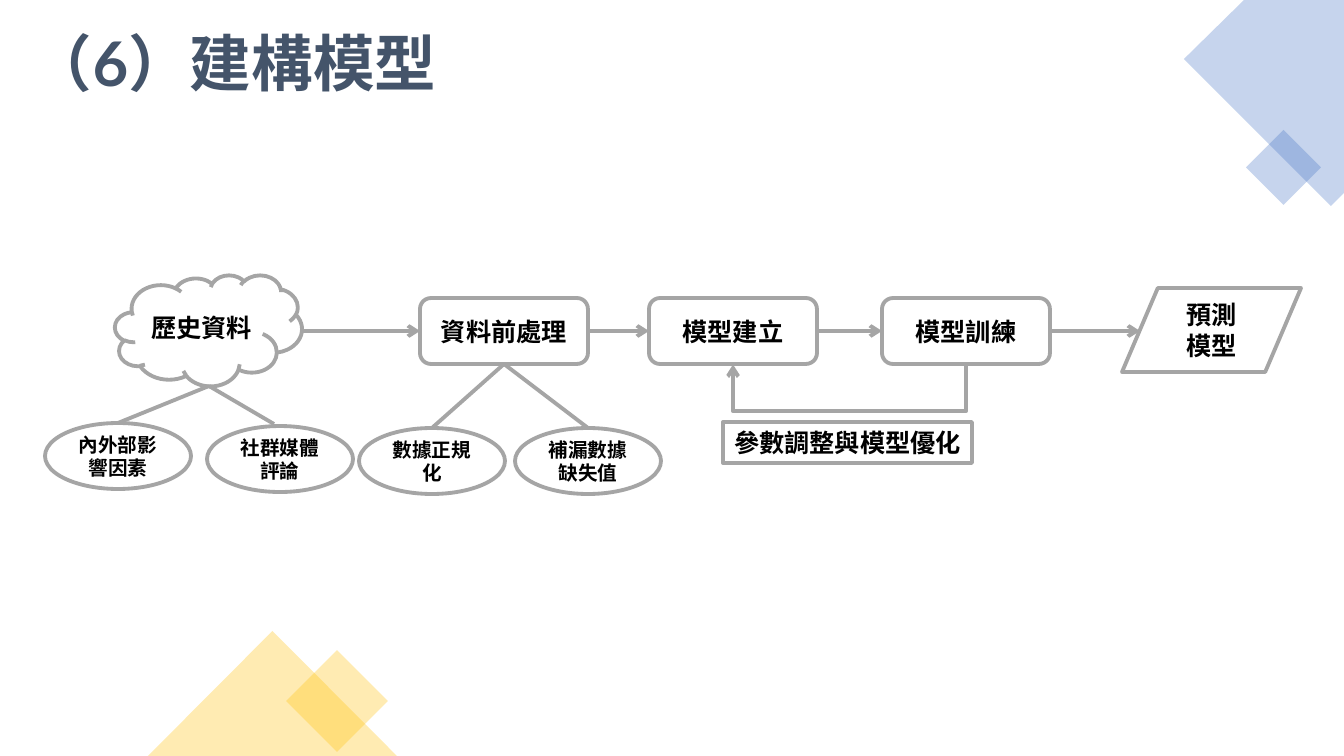
from pptx import Presentation
from pptx.dml.color import RGBColor
from pptx.enum.shapes import MSO_CONNECTOR, MSO_SHAPE
from pptx.enum.text import MSO_ANCHOR, PP_ALIGN
from pptx.oxml.ns import qn
from pptx.util import Emu, Pt
from lxml.etree import SubElement

# Content: all lengths in px
TITLE = "（6）建構模型"
GRAY, WHITE, BLACK, BLUE, YELLOW, NAVY = (
    "A5A5A5", "FFFFFF", "000000", "4472C4", "FFC000", "44546A")
CORNER = [(1344, 0), (1244, 0), (1184, 59), (1331, 206), (1344, 193)]
DECORATIONS = [  # kind, box, rotation, colour
    (MSO_SHAPE.RECTANGLE, (1257, 141, 53, 53), 45, BLUE),
    (MSO_SHAPE.RECTANGLE, (301, 665, 72, 72), 45, YELLOW),
    (MSO_SHAPE.ISOSCELES_TRIANGLE, (148, 631, 249, 125), 0, YELLOW),
]
STEP_TOP, STEP_WIDTH, STEP_HEIGHT = 298, 168, 66
STEPS = [("資料前處理", 420), ("模型建立", 649), ("模型訓練", 882)]
CLOUD = ("歷史資料", (115, 275, 187, 111))
RESULT = ("預測\n模型", (1122, 288, 179, 84))
FEEDBACK = ("參數調整與模型優化", (723, 422, 249, 41))
FACTOR_WIDTH, FACTOR_HEIGHT = 146, 66
FACTORS = [  # text, left, top, where its branch starts and ends
    ("內外部影響因素", 45, 423, (209, 386), (118, 423)),
    ("社群媒體評論", 207, 426, (209, 386), (274, 424)),
    ("數據正規化", 359, 428, (504, 364), (432, 428)),
    ("補漏數據缺失值", 515, 428, (504, 364), (588, 428)),
]
LOOP_DROP = 48


def px(length):
    return Emu(round(length * 914400 / 100.8))


def color(value):
    return RGBColor.from_string(value)


presentation = Presentation()
presentation.slide_width, presentation.slide_height = px(1344), px(756)
slide = presentation.slides.add_slide(presentation.slide_layouts[6])
shapes = slide.shapes


def tint(shape, value):
    """Fill with a 30 % opaque colour and no outline."""
    shape.shadow.inherit = False
    shape.fill.solid()
    shape.fill.fore_color.rgb = color(value)
    shape.line.fill.background()
    fill = shape.fill._xPr.find(qn("a:solidFill"))
    SubElement(fill[0], qn("a:alpha"), val="30000")


def write(frame, text, size, font_name, value, align):
    frame.text = text
    for paragraph in frame.paragraphs:
        paragraph.alignment = align
        paragraph.font.size = Pt(size)
        paragraph.font.name = font_name
        paragraph.font.bold = True
        paragraph.font.color.rgb = color(value)


def add_node(kind, text, box, size=18):
    shape = shapes.add_shape(kind, *map(px, box))
    shape.shadow.inherit = False
    shape.fill.solid()
    shape.fill.fore_color.rgb = color(WHITE)
    shape.line.color.rgb = color(GRAY)
    shape.line.width = Pt(2.75)
    write(shape.text_frame, text, size, "Calibri", BLACK, PP_ALIGN.CENTER)
    return shape


def add_link(start, end, arrow=True, kind=MSO_CONNECTOR.STRAIGHT):
    link = shapes.add_connector(kind, *map(px, start + end))
    link.line.color.rgb = color(GRAY)
    link.line.width = Pt(2.75)
    properties = link._element.spPr
    if arrow:
        SubElement(properties.find(qn("a:ln")), qn("a:tailEnd"), type="arrow")
    SubElement(properties, qn("a:effectLst"))
    return link


# Corner decorations
builder = shapes.build_freeform(*map(px, CORNER[0]), scale=1.0)
builder.add_line_segments([tuple(map(px, point)) for point in CORNER[1:]], close=True)
tint(builder.convert_to_shape(), BLUE)
for kind, box, rotation, value in DECORATIONS:
    decoration = shapes.add_shape(kind, *map(px, box))
    decoration.rotation = rotation
    tint(decoration, value)

# Title
title = shapes.add_textbox(*map(px, (21, 20, 429, 85))).text_frame
title.word_wrap = True
write(title, TITLE, 44, "Lato", NAVY, PP_ALIGN.LEFT)

# Main flow
add_node(MSO_SHAPE.CLOUD, *CLOUD)
add_node(MSO_SHAPE.FLOWCHART_DATA, *RESULT)
steps = [add_node(MSO_SHAPE.ROUNDED_RECTANGLE, text,
                  (left, STEP_TOP, STEP_WIDTH, STEP_HEIGHT))
         for text, left in STEPS]
middle = STEP_TOP + STEP_HEIGHT // 2
stops = [302] + [left + STEP_WIDTH for _, left in STEPS]
targets = [left for _, left in STEPS] + [1140]
for index, (start, end) in enumerate(zip(stops, targets)):
    link = add_link((start, middle), (end, middle))
    if index > 0:
        link.begin_connect(steps[index - 1], 3)
    if index < len(steps):
        link.end_connect(steps[index], 1)

# Factors under the first two steps
for text, left, top, start, end in FACTORS:
    add_node(MSO_SHAPE.OVAL, text, (left, top, FACTOR_WIDTH, FACTOR_HEIGHT), 14)
    branch = add_link(start, end, arrow=False)
    if start[0] == STEPS[0][1] + STEP_WIDTH // 2:
        branch.begin_connect(steps[0], 2)

# Feedback loop: a one px wide elbow turned by 90 degrees
build_x, train_x = (left + STEP_WIDTH // 2 for _, left in STEPS[1:])
center_x, span = (build_x + train_x) / 2, train_x - build_x
bottom = STEP_TOP + STEP_HEIGHT
loop = add_link((center_x - 0.5, bottom - span / 2),
                (center_x + 0.5, bottom + span / 2), kind=MSO_CONNECTOR.ELBOW)
loop._element.spPr.find(qn("a:xfrm")).set("rot", "5400000")
geometry = loop._element.spPr.find(qn("a:prstGeom"))
SubElement(geometry.find(qn("a:avLst")), qn("a:gd"),
           name="adj1", fmla=f"val {LOOP_DROP * 100000}")
label = add_node(MSO_SHAPE.RECTANGLE, *FEEDBACK).text_frame
label.word_wrap = False
label.vertical_anchor = MSO_ANCHOR.TOP

presentation.save("out.pptx")
